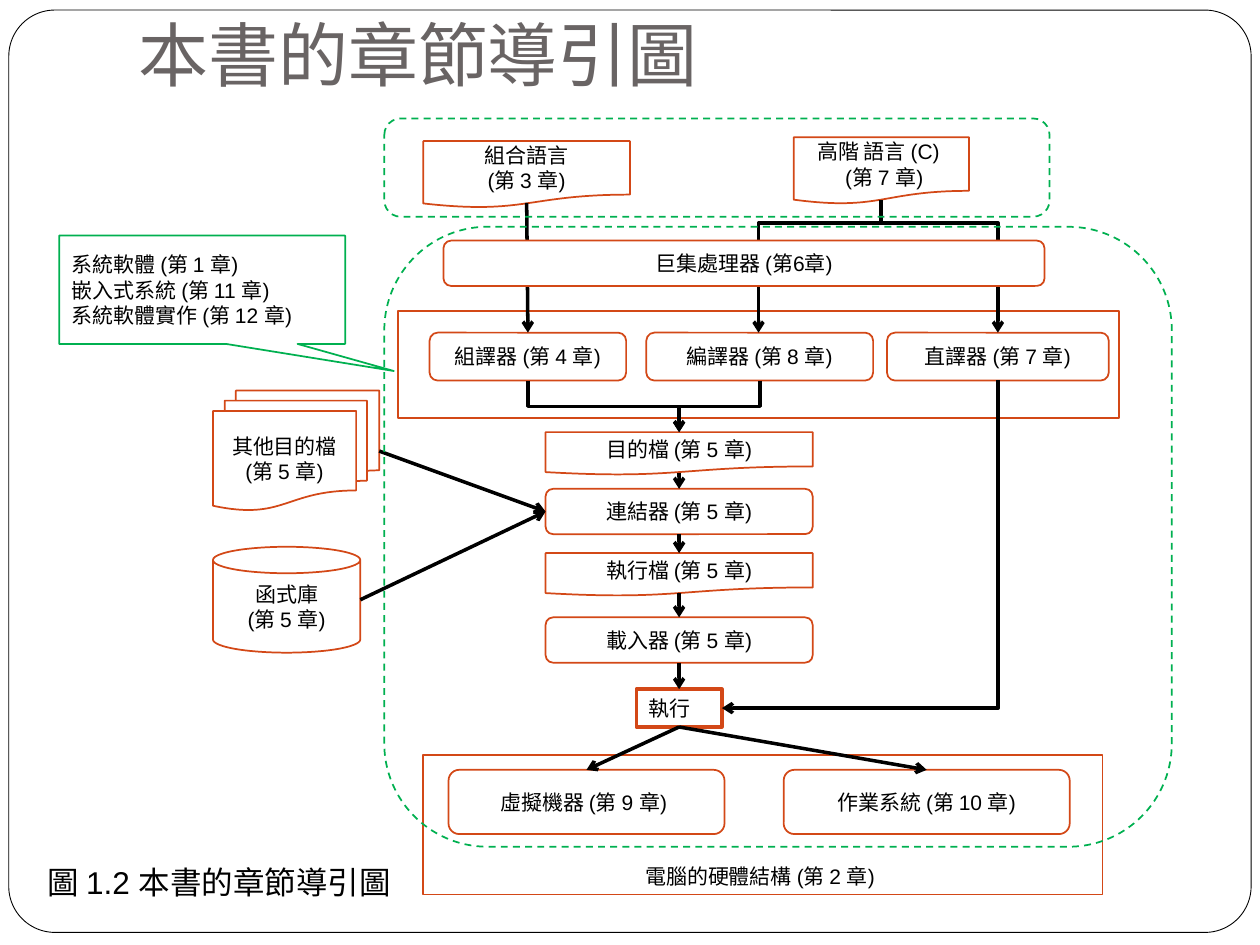
from dataclasses import dataclass
from typing import Any, Optional

import pptx
import pptx.dml.color
import pptx.enum.dml
import pptx.enum.shapes
import pptx.enum.text
import pptx.oxml.ns
import pptx.util
from lxml import etree

Inches = pptx.util.Inches
Pt = pptx.util.Pt
RGB = pptx.dml.color.RGBColor
KIND = pptx.enum.shapes.MSO_SHAPE
LINK = pptx.enum.shapes.MSO_CONNECTOR
DASH = pptx.enum.dml.MSO_LINE.DASH
ALIGN = pptx.enum.text.PP_ALIGN
ANCHOR = pptx.enum.text.MSO_ANCHOR
qn = pptx.oxml.ns.qn

BLACK = RGB(0x00, 0x00, 0x00)
WHITE = RGB(0xFF, 0xFF, 0xFF)
RUST = RGB(0xD3, 0x48, 0x17)
GREEN = RGB(0x00, 0xB0, 0x50)
GREY = RGB(0x69, 0x64, 0x64)

ROUND, DOC, RECT = KIND.ROUNDED_RECTANGLE, KIND.FLOWCHART_DOCUMENT, KIND.RECTANGLE
TOP, LEFT, BOTTOM = 0, 1, 2
MID = 5.39      # axis of the middle column
COL, WIDE = 4.33, 2.12
INSETS = {"margin_left": Inches(0.1), "margin_right": Inches(0.1),
          "margin_top": Inches(0.05), "margin_bottom": Inches(0.05)}


@dataclass
class Box:
    kind: Any
    left: float
    top: float
    width: float
    height: float
    text: str = ""
    line: RGB = RUST
    weight: float = 1
    fill: Optional[RGB] = None
    dash: Any = None
    adj: tuple = ()
    align: Any = ALIGN.CENTER
    anchor: Any = ANCHOR.MIDDLE


@dataclass
class Elbow:
    """A bent line that leaves downwards; bend is the share of the drop before the turn."""
    start: tuple
    end: tuple
    bend: Optional[float] = 0.5


def write(shape: Any, text: str, size: float, color: RGB, font: str = "Arial",
          align: Any = ALIGN.LEFT, **form: Any) -> None:
    frame = shape.text_frame
    for name, value in {"word_wrap": True, **INSETS, **form}.items():
        setattr(frame, name, value)
    frame.text = text
    for para in frame.paragraphs:
        para.alignment = align
        for name, value in {"size": Pt(size), "name": font}.items():
            setattr(para.font, name, value)
        para.font.color.rgb = color


def draw(shapes: Any, box: Box) -> Any:
    shape = shapes.add_shape(box.kind, Inches(box.left), Inches(box.top),
                             Inches(box.width), Inches(box.height))
    shape.shadow.inherit = False
    if box.fill is None:
        shape.fill.background()
    else:
        shape.fill.solid()
        shape.fill.fore_color.rgb = box.fill
    shape.line.color.rgb = box.line
    shape.line.width = Pt(box.weight)
    if box.dash:
        shape.line.dash_style = box.dash
    for i, value in enumerate(box.adj):
        shape.adjustments[i] = value
    if box.text:
        write(shape, box.text, 12, BLACK, align=box.align, vertical_anchor=box.anchor)
    return shape


def arrow(shapes: Any, kind: Any, start: tuple, end: tuple) -> Any:
    link = shapes.add_connector(kind, *(Inches(v) for v in (*start, *end)))
    link.line.color.rgb = BLACK
    link.line.width = Pt(2)
    etree.SubElement(link.line._get_or_add_ln(), qn("a:tailEnd"), type="arrow")
    etree.SubElement(link._element.spPr, qn("a:effectLst"))
    return link


def bend(shapes: Any, elbow: Elbow) -> None:
    """Place the unturned line about the midpoint, then turn it a quarter."""
    (x1, y1), (x2, y2) = elbow.start, elbow.end
    midx, midy = (x1 + x2) / 2, (y1 + y2) / 2
    halfw, halfh = abs(y2 - y1) / 2, abs(x2 - x1) / 2
    link = arrow(shapes, LINK.ELBOW, (midx - halfw, midy - halfh),
                 (midx + halfw, midy + halfh))
    props = link._element.spPr
    xfrm, geom = props.find(qn("a:xfrm")), props.find(qn("a:prstGeom"))
    if x2 > x1:
        xfrm.set("rot", "16200000")
        xfrm.set("flipH", "1")
    else:
        xfrm.set("rot", "5400000")
    if elbow.bend is None:
        geom.set("prst", "bentConnector2")
    else:
        etree.SubElement(geom.find(qn("a:avLst")), qn("a:gd"), name="adj1",
                         fmla=f"val {round(elbow.bend * 100000)}")


FRAME = Box(ROUND, 0.07, 0.08, 9.86, 7.32, line=BLACK, weight=0.5, fill=WHITE, adj=(0.05,))
BOXES = {
    "object": Box(DOC, COL, 3.43, WIDE, 0.34, "目的檔 (第 5 章)"),
    "linker": Box(ROUND, COL, 3.88, WIDE, 0.36, "連結器 (第 5 章)"),
    "library": Box(KIND.CAN, 1.69, 4.34, 1.17, 0.84, "函式庫\n(第 5 章)"),
    "assembler": Box(ROUND, 3.41, 2.64, 1.56, 0.38, "組譯器 (第 4 章)"),
    "compiler": Box(ROUND, 5.13, 2.64, 1.8, 0.38, "編譯器 (第 8 章)"),
    "interpreter": Box(ROUND, 7.04, 2.64, 1.76, 0.38, "直譯器 (第 7 章)"),
    "high": Box(DOC, 6.3, 1.09, 1.39, 0.53, "高階 語言 (C) \v (第 7 章)"),
    "others": Box(KIND.FLOWCHART_MULTIDOCUMENT, 1.69, 3.1, 1.32, 0.95,
                  "其他目的檔\n(第 5 章)"),
    "loader": Box(ROUND, COL, 4.9, WIDE, 0.36, "載入器 (第 5 章)"),
    "run": Box(RECT, 5.05, 5.47, 0.68, 0.3, "執行", weight=2,
               align=ALIGN.LEFT, anchor=ANCHOR.TOP),
    "program": Box(DOC, COL, 4.39, WIDE, 0.34, "執行檔 (第 5 章)"),
    "machine": Box(ROUND, 3.56, 6.11, 2.19, 0.51, "虛擬機器 (第 9 章) "),
    "hardware": Box(RECT, 3.36, 5.99, 5.39, 1.11, "電腦的硬體結構 (第 2 章) ",
                    anchor=ANCHOR.BOTTOM),
    "system": Box(ROUND, 6.22, 6.11, 2.27, 0.51, "作業系統 (第 10 章)"),
    "assembly": Box(DOC, 3.36, 1.12, 1.64, 0.53, "組合語言\n(第 3 章)"),
    "tools": Box(RECT, 3.16, 2.47, 5.72, 0.85),
}
# start point, end point, (box, side) joined at the start and at the end
ARROWS = [
    ((4.18, 1.61), (4.19, 2.64), None, ("assembler", TOP)),
    ((3.01, 3.58), (4.33, 4.06), None, ("linker", LEFT)),
    ((2.86, 4.76), (4.33, 4.06), None, ("linker", LEFT)),
    ((MID, 3.75), (MID, 3.88), None, ("linker", TOP)),
    ((MID, 4.24), (MID, 4.39), ("linker", BOTTOM), ("program", TOP)),
    ((MID, 4.71), (MID, 4.9), None, ("loader", TOP)),
    ((MID, 5.26), (MID, 5.47), ("loader", BOTTOM), ("run", TOP)),
    ((MID, 5.77), (4.66, 6.11), ("run", BOTTOM), ("machine", TOP)),
    ((MID, 5.77), (7.35, 6.11), ("run", BOTTOM), ("system", TOP)),
]
ELBOWS = [
    Elbow((7.92, 3.02), (5.73, 5.62), None),
    Elbow((6.03, 3.02), (MID, 3.43)),
    Elbow((4.19, 3.02), (MID, 3.43)),
    Elbow((6.99, 1.59), (7.92, 2.64), 0.17),
    Elbow((6.99, 1.59), (6.02, 2.64), 0.17),
]
COVERS = [
    Box(ROUND, 3.52, 1.91, 4.77, 0.36, "巨集處理器 (第6章)", fill=WHITE),
    Box(ROUND, 3.05, 0.94, 5.28, 0.78, line=GREEN, dash=DASH),
    Box(ROUND, 3.05, 1.8, 6.25, 4.92, line=GREEN, dash=DASH),
    Box(KIND.RECTANGULAR_CALLOUT, 0.47, 1.87, 2.27, 0.86,
        "系統軟體 (第 1 章)\n嵌入式系統 (第 11 章)\n系統軟體實作 (第 12 章)",
        line=GREEN, adj=(0.67, 0.75), align=ALIGN.LEFT),
]


def main() -> None:
    deck = pptx.Presentation()
    deck.slide_width, deck.slide_height = Inches(10), Inches(7.5)
    shapes = deck.slides.add_slide(deck.slide_layouts[6]).shapes
    draw(shapes, FRAME)
    title = shapes.add_textbox(Inches(1), Inches(0.3), Inches(8.5), Inches(0.56))
    write(title, "本書的章節導引圖", 40, GREY, "Cabin",
          vertical_anchor=ANCHOR.BOTTOM, margin_bottom=Inches(0.1))
    drawn = {name: draw(shapes, box) for name, box in BOXES.items()}
    for start, end, tail, head in ARROWS:
        link = arrow(shapes, LINK.STRAIGHT, start, end)
        if tail:
            link.begin_connect(drawn[tail[0]], tail[1])
        if head:
            link.end_connect(drawn[head[0]], head[1])
    for elbow in ELBOWS:
        bend(shapes, elbow)
    for box in COVERS:
        draw(shapes, box)
    label = shapes.add_textbox(Inches(0.28), Inches(6.8), Inches(3.04), Inches(0.4))
    write(label, "圖 1.2 本書的章節導引圖", 18, BLACK, word_wrap=False)
    deck.save("out.pptx")


if __name__ == "__main__":
    main()
